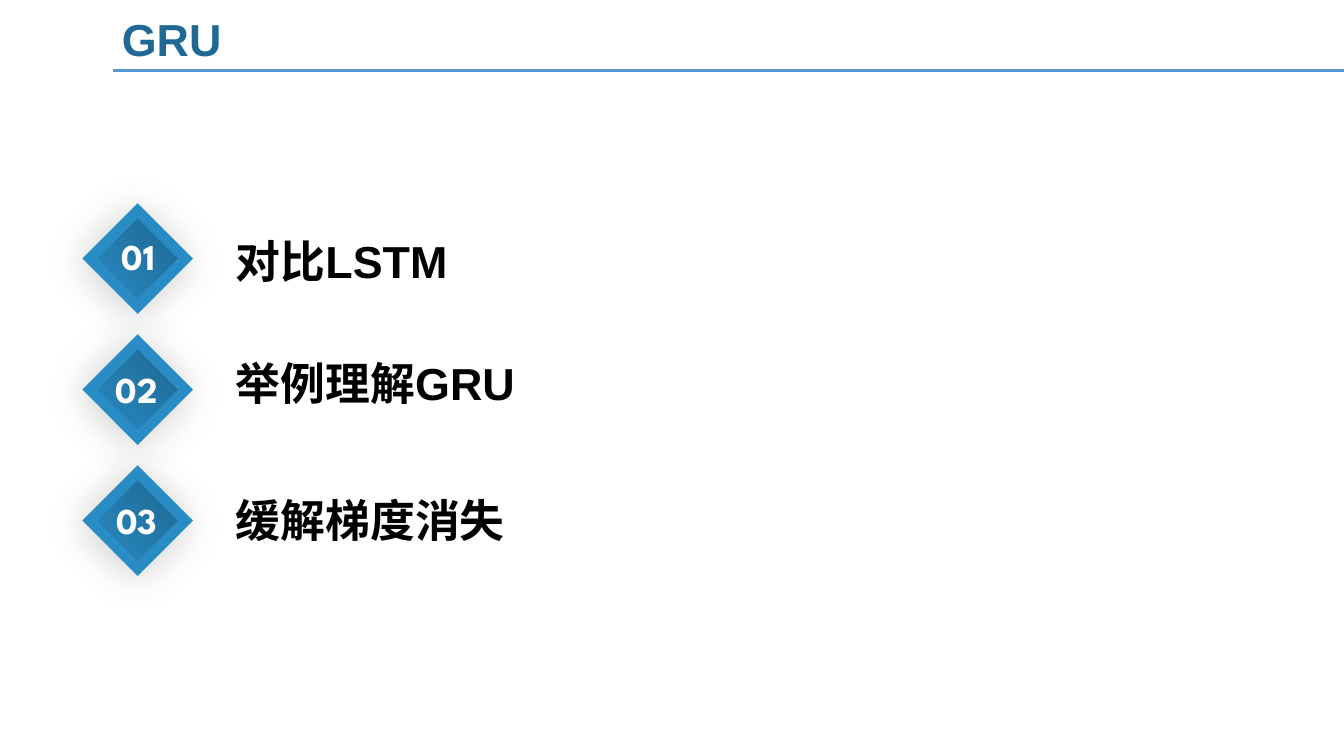
"""Build the GRU agenda slide: a ruled title and three numbered diamonds."""
from lxml import etree
from pptx import Presentation
from pptx.dml.color import RGBColor
from pptx.enum.shapes import MSO_CONNECTOR, MSO_SHAPE
from pptx.enum.text import PP_ALIGN
from pptx.oxml import parse_xml
from pptx.oxml.ns import qn
from pptx.util import Inches, Pt

LEFT, CENTER = PP_ALIGN.LEFT, PP_ALIGN.CENTER
DIAMOND, STRAIGHT = MSO_SHAPE.DIAMOND, MSO_CONNECTOR.STRAIGHT
W, H = Inches(13.33), Inches(7.5)
FIRST_ROW, ROW_PITCH = 27.87, 17.33
SHADOW = (
    '<a:effectLst xmlns:a="http://schemas.openxmlformats.org/drawingml/2006/main">'
    '<a:outerShdw blurRad="381000" dist="38100" dir="8100000" algn="tr" rotWithShape="0">'
    '<a:srgbClr val="000000"><a:alpha val="20000"/></a:srgbClr>'
    '</a:outerShdw></a:effectLst>'
)
TITLE = {"size": Pt(32), "name": "Arial", "bold": True, "color": "1F6994"}
LABEL = {**TITLE, "color": "000000"}
NUMBER = {"size": Pt(26), "name": "League Spartan", "bold": True, "color": "FFFFFF"}


def rgb(value):
    return RGBColor.from_string(value)


def add_text(s, text, x, y, w, h, fmt, align=LEFT):
    sp = s.shapes.add_textbox(*[int(v) for v in (W * x / 100, H * y / 100, W * w / 100, H * h / 100)])
    tf = sp.text_frame
    tf.word_wrap = True
    p = tf.paragraphs[0]
    p.alignment = align
    r = p.add_run()
    r.text = text
    for key, value in fmt.items():
        if key == "color":
            r.font.color.rgb = rgb(value)
        else:
            setattr(r.font, key, value)


prs = Presentation()
prs.slide_width, prs.slide_height = W, H
s = prs.slides.add_slide(prs.slide_layouts[6])

add_text(s, "GRU", 8.33, 0.93, 37.88, 8.53, TITLE)
rule_y = int(H * 0.0933)
rule = s.shapes.add_connector(STRAIGHT, int(W * 0.084), rule_y, W, rule_y)
rule.line.color.rgb = rgb("5698D3")
rule.line.width = Pt(1.5)
etree.SubElement(rule._element.spPr, qn("a:effectLst"))

items = [
    ("01", 7.65, 2.4, "对比LSTM", 30.27),
    ("02", 7.5, 2.67, "举例理解GRU", 46.4),
    ("03", 7.5, 2.67, "缓解梯度消失", 64.53),
]
side = Inches(0.95)
for row, (number, number_x, number_drop, label, label_y) in enumerate(items):
    top = FIRST_ROW + row * ROW_PITCH
    sp = s.shapes.add_shape(DIAMOND, int(W * 0.0668), int(H * top / 100), side, side)
    sp.fill.gradient()
    sp.fill.gradient_angle = 225
    for stop, color in zip(sp.fill.gradient_stops, ("1E658E", "298CC5")):
        stop.color.rgb = rgb(color)
    sp.line.color.rgb = rgb("298CC5")
    sp.line.width = Pt(7.5)
    etree.SubElement(sp.line._ln, qn("a:miter"), lim="800000")
    sp._element.spPr.append(parse_xml(SHADOW))
    add_text(s, number, number_x, top + number_drop, 5.33, 7.2, NUMBER, CENTER)
    add_text(s, label, 16.8, label_y, 35.41, 8.53, LABEL)

prs.save("out.pptx")
